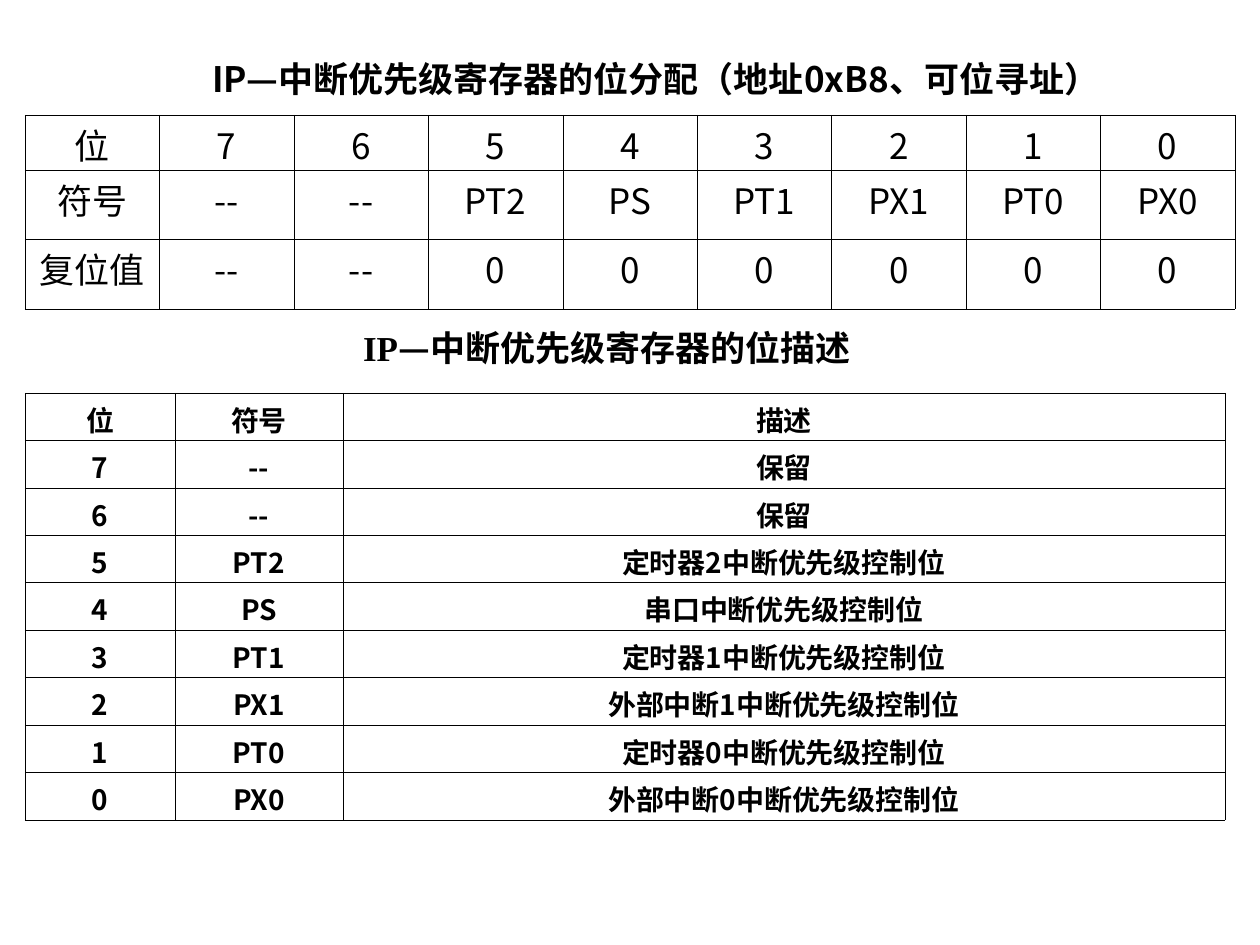
import lxml.etree
import pptx
import pptx.dml.color
import pptx.enum.text
import pptx.oxml.ns
import pptx.util

EMU_PER_PX = 914400 / 126
COLORS = {"text": "000000", "border": "000000"}
SANS = "Noto Sans CJK SC"
SERIF = "Times New Roman"

BIT_ALLOCATION = [
    ["位", "7", "6", "5", "4", "3", "2", "1", "0"],
    ["符号", "--", "--", "PT2", "PS", "PT1", "PX1", "PT0", "PX0"],
    ["复位值", "--", "--", "0", "0", "0", "0", "0", "0"],
]
BIT_DESCRIPTION = [
    ["位", "符号", "描述"],
    ["7", "--", "保留"],
    ["6", "--", "保留"],
    ["5", "PT2", "定时器2中断优先级控制位"],
    ["4", "PS", "串口中断优先级控制位"],
    ["3", "PT1", "定时器1中断优先级控制位"],
    ["2", "PX1", "外部中断1中断优先级控制位"],
    ["1", "PT0", "定时器0中断优先级控制位"],
    ["0", "PX0", "外部中断0中断优先级控制位"],
]


def px(length):
    """Turn whole pixels into EMU."""
    return pptx.util.Emu(round(length * EMU_PER_PX))


def write_text(paragraph, text, *, size, bold=False, font=SANS):
    """Append one formatted run to a centred paragraph."""
    paragraph.alignment = pptx.enum.text.PP_ALIGN.CENTER
    run = paragraph.add_run()
    run.text = text
    run.font.size = pptx.util.Pt(size)
    run.font.bold = bold
    run.font.name = font
    run.font.color.rgb = pptx.dml.color.RGBColor.from_string(COLORS["text"])
    east_asian = lxml.etree.SubElement(run.font._element, pptx.oxml.ns.qn("a:ea"))
    east_asian.set("typeface", SANS)


def add_heading(slide, left, top, width, height, parts):
    """Add a bold heading made of (text, font) parts."""
    frame = slide.shapes.add_textbox(px(left), px(top), px(width), px(height)).text_frame
    frame.word_wrap = True
    for text, font in parts:
        write_text(frame.paragraphs[0], text, size=20, bold=True, font=font)


def draw_borders(cell):
    """Give a cell thin lines on all four sides."""
    properties = cell._tc.get_or_add_tcPr()
    for side in ("lnL", "lnR", "lnT", "lnB"):
        line = lxml.etree.SubElement(properties, pptx.oxml.ns.qn(f"a:{side}"))
        line.set("w", str(pptx.util.Pt(0.23)))
        fill = lxml.etree.SubElement(line, pptx.oxml.ns.qn("a:solidFill"))
        color = lxml.etree.SubElement(fill, pptx.oxml.ns.qn("a:srgbClr"))
        color.set("val", COLORS["border"])


def share_out(tracks, attribute, total, shares):
    """Divide a total length among columns or rows by their shares."""
    for track, share in zip(tracks, shares):
        setattr(track, attribute, px(total) * share // sum(shares))


def add_grid(slide, left, top, width, height, entries, columns, rows, inset, **text_format):
    """Add a bordered, unfilled table with centred text."""
    grid = slide.shapes.add_table(
        len(rows), len(columns), px(left), px(top), px(width), px(height)
    ).table
    grid.first_row = grid.horz_banding = False
    share_out(grid.columns, "width", width, columns)
    share_out(grid.rows, "height", height, rows)
    for row, texts in zip(grid.rows, entries):
        for cell, text in zip(row.cells, texts):
            cell.margin_top, cell.margin_bottom = px(inset), 0
            draw_borders(cell)
            cell.fill.background()
            write_text(cell.text_frame.paragraphs[0], text, **text_format)


def main():
    """Build the interrupt priority register slide."""
    deck = pptx.Presentation()
    deck.slide_width, deck.slide_height = px(1260), px(945)
    slide = deck.slides.add_slide(deck.slide_layouts[6])
    add_heading(slide, 125, 51, 1062, 63,
                [("IP—中断优先级寄存器的位分配（地址0xB8、可位寻址）", SANS)])
    add_grid(slide, 25, 115, 1210, 194, BIT_ALLOCATION,
             columns=[1] * 9, rows=[55, 69, 70], inset=4, size=20)
    add_heading(slide, 257, 320, 700, 63,
                [("IP", SERIF), ("—中断优先级寄存器的位描述", SANS)])
    add_grid(slide, 25, 393, 1200, 427, BIT_DESCRIPTION,
             columns=[150, 168, 882], rows=[1] * 9, inset=6, size=16, bold=True)
    deck.save("out.pptx")


if __name__ == "__main__":
    main()
